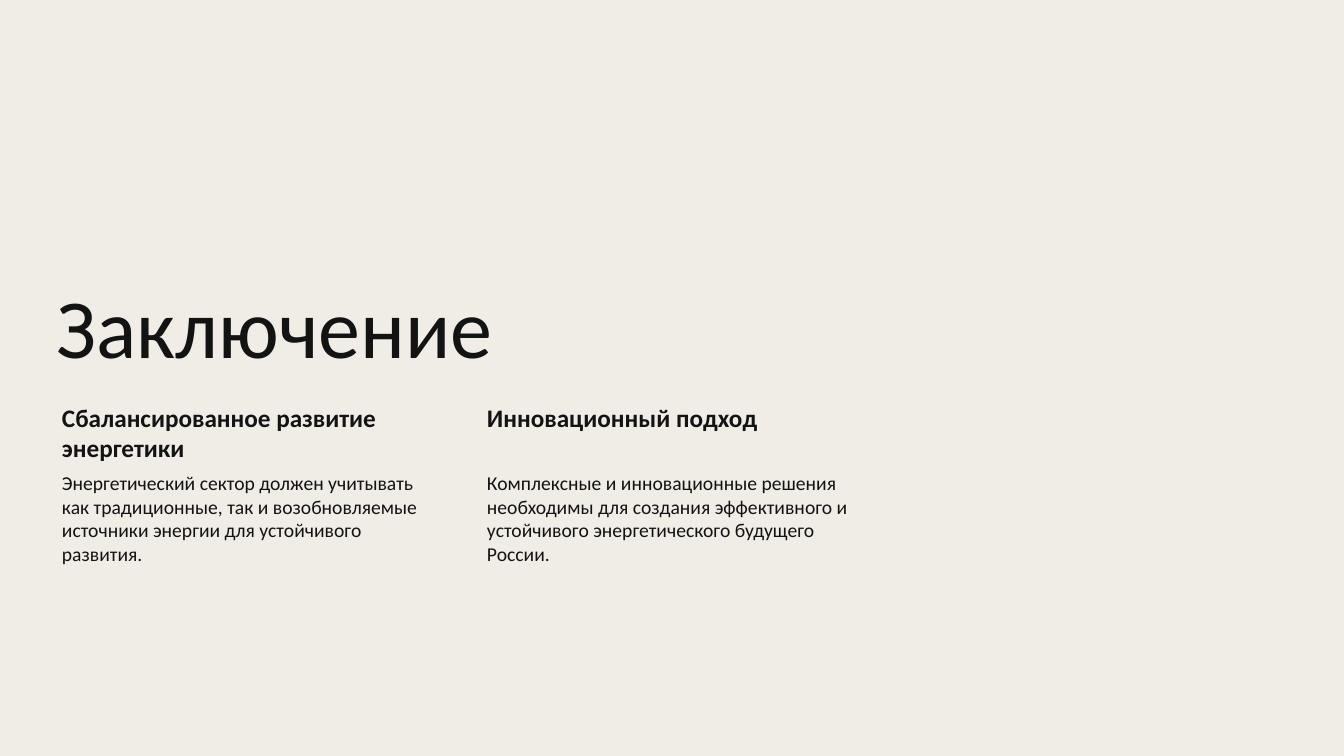
from pptx import Presentation
from pptx.dml.color import RGBColor
from pptx.enum.text import MSO_ANCHOR, MSO_AUTO_SIZE, PP_ALIGN
from pptx.util import Pt

EMU_PER_PX = 914400 / 100.8
FONT, INK, PAPER = "Calibri", "131313", "F0EDE6"
TITLE_ONLY = 5
COLUMNS = [
    ("Сбалансированное развитие энергетики",
     "Энергетический сектор должен учитывать как традиционные, так и "
     "возобновляемые источники энергии для устойчивого развития."),
    ("Инновационный подход",
     "Комплексные и инновационные решения необходимы для создания "
     "эффективного и устойчивого энергетического будущего России."),
]


def px(length):
    """Turn pixels into EMU."""
    return round(length * EMU_PER_PX)


def color(value):
    """Turn a hex string into a colour."""
    return RGBColor.from_string(value)


def write(shape, text, size, bold=False, anchor=MSO_ANCHOR.TOP, insets=(10, 5, 10, 5)):
    """Fill a shape with one left-aligned paragraph and return the paragraph."""
    frame = shape.text_frame
    frame.word_wrap = True
    frame.auto_size = MSO_AUTO_SIZE.NONE
    frame.vertical_anchor = anchor
    (frame.margin_left, frame.margin_top,
     frame.margin_right, frame.margin_bottom) = map(px, insets)
    paragraph = frame.paragraphs[0]
    paragraph.alignment = PP_ALIGN.LEFT
    run = paragraph.add_run()
    run.text = text
    run.font.name = FONT
    run.font.size = Pt(size)
    run.font.bold = bold
    run.font.color.rgb = color(INK)
    return paragraph


def add_title(slide, left, top, width, height, text):
    """Place the title at the bottom of its box."""
    title = slide.shapes.title
    title.left, title.top, title.width, title.height = map(px, (left, top, width, height))
    write(title, text, 60, anchor=MSO_ANCHOR.BOTTOM).line_spacing = 0.9


def add_column(slide, left, top, width, height, heading, body):
    """Place a bold heading above its body text."""
    heading_height = 70
    heading_box = slide.shapes.add_textbox(*map(px, (left, top, width, heading_height)))
    write(heading_box, heading, 18, bold=True, insets=(15, 3, 3, 3))
    body_box = slide.shapes.add_textbox(
        *map(px, (left, top + heading_height, width, height - heading_height)))
    write(body_box, body, 14, insets=(15, 2, 2, 2))


def main():
    """Build the closing slide."""
    presentation = Presentation()
    presentation.slide_width, presentation.slide_height = px(1344), px(756)
    slide = presentation.slides.add_slide(presentation.slide_layouts[TITLE_ONLY])
    slide.background.fill.solid()
    slide.background.fill.fore_color.rgb = color(PAPER)

    left, column_width, gap = 47, 387, 38
    add_title(slide, left, 179, 2 * column_width + gap, 203, "Заключение")
    for index, (heading, body) in enumerate(COLUMNS):
        column_left = left + index * (column_width + gap)
        add_column(slide, column_left, 399, column_width, 244, heading, body)
    presentation.save("out.pptx")


if __name__ == "__main__":
    main()
